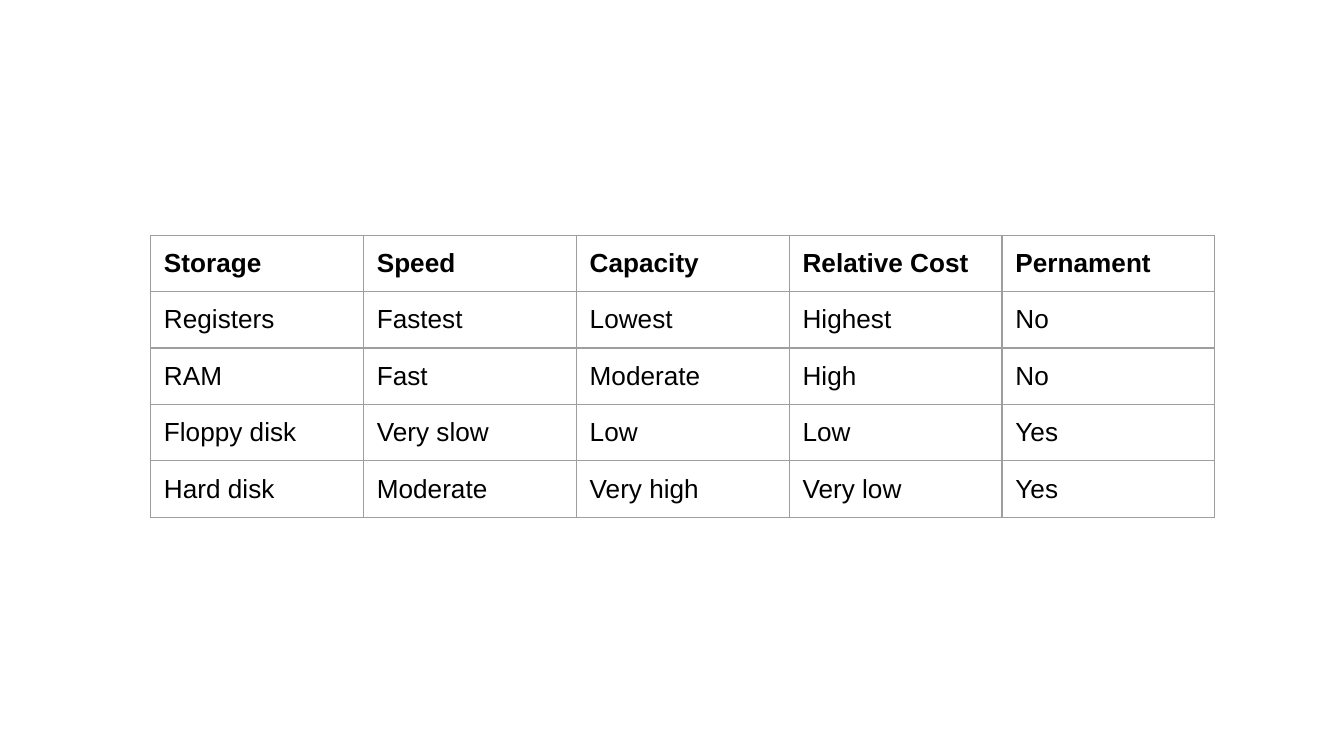
from lxml.etree import SubElement
from pptx import Presentation
from pptx.dml.color import RGBColor
from pptx.oxml.ns import qn
from pptx.util import Inches, Pt

ROWS = [
    ["Storage", "Speed", "Capacity", "Relative Cost", "Pernament"],
    ["Registers", "Fastest", "Lowest", "Highest", "No"],
    ["RAM", "Fast", "Moderate", "High", "No"],
    ["Floppy disk", "Very slow", "Low", "Low", "Yes"],
    ["Hard disk", "Moderate", "Very high", "Very low", "Yes"],
]


def rgb(value):
    return RGBColor.from_string(value)


class SlideBuilder:
    font = {"name": "Arial", "size": Pt(14)}
    text_color = "000000"
    border_color = "9E9E9E"
    border_width = Pt(0.75)
    margins = {f"margin_{side}": Inches(0.1)
               for side in ("left", "right", "top", "bottom")}

    def __init__(self, slide):
        self.slide = slide

    def background(self, color):
        fill = self.slide.background.fill
        fill.solid()
        fill.fore_color.rgb = rgb(color)

    def borders(self, cell):
        tc_pr = cell._tc.get_or_add_tcPr()
        for tag in ("a:lnL", "a:lnR", "a:lnT", "a:lnB"):
            ln = SubElement(tc_pr, qn(tag), w=str(self.border_width))
            fill = SubElement(ln, qn("a:solidFill"))
            SubElement(fill, qn("a:srgbClr"), val=self.border_color)

    def cell(self, cell, text, bold):
        for name, value in self.margins.items():
            setattr(cell, name, value)
        self.borders(cell)
        cell.fill.background()
        r = cell.text_frame.paragraphs[0].add_run()
        r.text = text
        for name, value in {**self.font, "bold": bold}.items():
            setattr(r.font, name, value)
        r.font.color.rgb = rgb(self.text_color)

    def table(self, rows, left, top, width, row_height):
        n_rows, n_cols = len(rows), len(rows[0])
        table = self.slide.shapes.add_table(
            n_rows, n_cols, Inches(left), Inches(top),
            Inches(width), Inches(row_height * n_rows)).table
        table.first_row = table.horz_banding = False
        for i, row in enumerate(rows):
            for j, text in enumerate(row):
                self.cell(table.cell(i, j), text, bold=i == 0)


def main():
    prs = Presentation()
    prs.slide_width = Inches(10)
    prs.slide_height = Inches(10 * 9 / 16)
    builder = SlideBuilder(prs.slides.add_slide(prs.slide_layouts[6]))
    builder.background("FFFFFF")
    builder.table(ROWS, left=1.12, top=1.75, width=7.92, row_height=0.42)
    prs.save("out.pptx")


if __name__ == "__main__":
    main()
